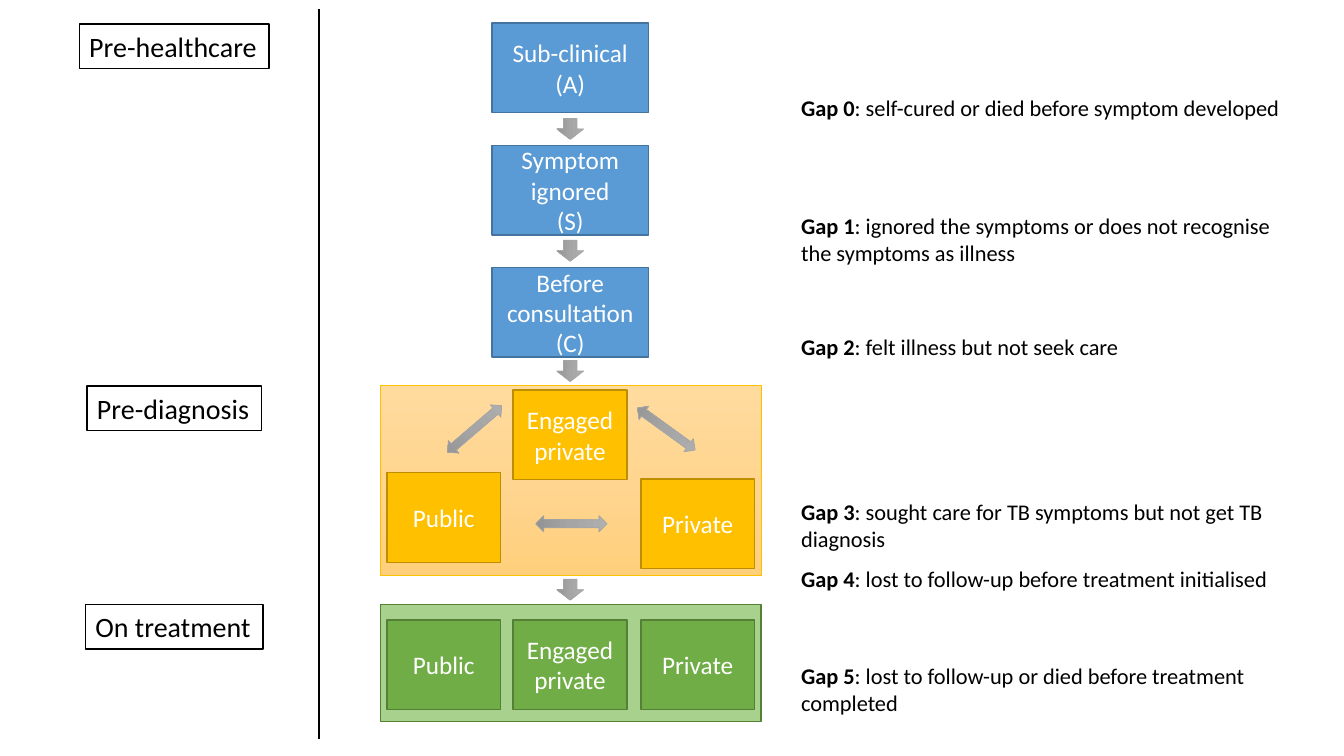
from copy import deepcopy

from lxml import etree
from pptx import Presentation
from pptx.dml.color import RGBColor
from pptx.enum.shapes import MSO_CONNECTOR, MSO_SHAPE
from pptx.enum.text import MSO_ANCHOR, PP_ALIGN
from pptx.oxml.ns import qn
from pptx.util import Cm, Pt

FONT = "Calibri"
BLUE, BLUE_EDGE = "5B9BD5", "43739E"
AMBER, AMBER_EDGE = "FFC000", "BD8E00"
GREEN, GREEN_EDGE = "70AD47", "538035"
GREY = "A5A5A5"
GREY_FADE = ("AFAFAF", GREY, "939393")
AMBER_FADE = ("FFDB9E", "FFD590", "FFD07C")

BOX_H = 2.26
STEP_X, STEP_W, STEP_TOP, STEP_PITCH = 12.4, 3.94, 0.58, 3.08
PANEL_X, PANEL_W = 9.58, 9.6
SECTOR_W = 2.87
SECTORS = (("Public", 9.75), ("Engaged private", 12.93), ("Private", 16.15))
LABEL_CENTRE = 4.39


def color(hex_string):
    return RGBColor.from_string(hex_string)


def paint_gradient(shape, colors):
    """Fill a shape with three evenly spaced colours, top to bottom."""
    shape.fill.gradient()
    stop_list = shape._element.spPr.find(".//" + qn("a:gsLst"))
    stop_list.insert(1, deepcopy(stop_list[0]))
    for i, (stop, hex_string) in enumerate(zip(shape.fill.gradient_stops, colors)):
        stop.position = i / 2
        stop.color.rgb = color(hex_string)
    shape.fill.gradient_angle = 270


def add_block(slide, kind, x, y, w, h, fill, edge, edge_width):
    """Add a preset shape; fill is one colour or a tuple of gradient colours."""
    shape = slide.shapes.add_shape(kind, Cm(x), Cm(y), Cm(w), Cm(h))
    shape.shadow.inherit = False
    if isinstance(fill, tuple):
        paint_gradient(shape, fill)
    else:
        shape.fill.solid()
        shape.fill.fore_color.rgb = color(fill)
    shape.line.color.rgb = color(edge)
    shape.line.width = Pt(edge_width)
    return shape


def add_run(paragraph, text, size, hex_string, bold=False):
    run = paragraph.add_run()
    run.text = text
    run.font.name = FONT
    run.font.size = Pt(size)
    run.font.bold = bold
    run.font.color.rgb = color(hex_string)


def add_box(slide, lines, x, y, w, fill, edge):
    """Add a filled box with centred white text, one paragraph per line."""
    box = add_block(slide, MSO_SHAPE.RECTANGLE, x, y, w, BOX_H, fill, edge, 1)
    frame = box.text_frame
    frame.word_wrap = True
    frame.vertical_anchor = MSO_ANCHOR.MIDDLE
    for i, line in enumerate(lines):
        paragraph = frame.add_paragraph() if i else frame.paragraphs[0]
        paragraph.alignment = PP_ALIGN.CENTER
        add_run(paragraph, line, 18, "FFFFFF")


def add_arrow(slide, kind, centre_x, centre_y, w, h, rotation):
    arrow = add_block(slide, kind, centre_x - w / 2, centre_y - h / 2, w, h,
                      GREY_FADE, GREY, 0.5)
    arrow.rotation = rotation


def add_label(slide, text, y, w):
    label = add_block(slide, MSO_SHAPE.RECTANGLE, LABEL_CENTRE - w / 2, y, w, 1.12,
                      "FFFFFF", "000000", 1)
    frame = label.text_frame
    frame.word_wrap = False
    frame.vertical_anchor = MSO_ANCHOR.TOP
    frame.paragraphs[0].alignment = PP_ALIGN.LEFT
    add_run(frame.paragraphs[0], text, 20, "000000")


def add_gap(slide, name, text, y, h):
    box = slide.shapes.add_textbox(Cm(19.94), Cm(y), Cm(12.7), Cm(h))
    box.text_frame.word_wrap = True
    paragraph = box.text_frame.paragraphs[0]
    add_run(paragraph, name, 16, "000000", bold=True)
    add_run(paragraph, ": " + text, 16, "000000")


def add_divider(slide, x, top, bottom):
    line = slide.shapes.add_connector(MSO_CONNECTOR.STRAIGHT,
                                      Cm(x), Cm(top), Cm(x), Cm(bottom))
    line.line.color.rgb = color("000000")
    line.line.width = Pt(1.5)
    etree.SubElement(line._element.spPr, qn("a:effectLst"))


def add_panel(slide, y, h, fill, edge, edge_width, box_fill, box_edge, box_tops):
    """Add a panel holding one box for each care sector."""
    add_block(slide, MSO_SHAPE.RECTANGLE, PANEL_X, y, PANEL_W, h,
              fill, edge, edge_width)
    for (name, x), top in zip(SECTORS, box_tops):
        add_box(slide, [name], x, top, SECTOR_W, box_fill, box_edge)


def main():
    prs = Presentation()
    prs.slide_width, prs.slide_height = Cm(33.87), Cm(19.05)
    slide = prs.slides.add_slide(prs.slide_layouts[6])

    # Stages of care
    add_divider(slide, 8.05, 0.23, 18.62)
    for text, y, w in (("Pre-healthcare", 0.61, 4.78),
                       ("Pre-diagnosis", 9.73, 4.39),
                       ("On treatment", 15.24, 4.47)):
        add_label(slide, text, y, w)

    # Steps before care
    steps = (["Sub-clinical (A)"], ["Symptom ignored", "(S)"],
             ["Before consultation", "(C)"])
    for i, lines in enumerate(steps):
        add_box(slide, lines, STEP_X, STEP_TOP + i * STEP_PITCH, STEP_W,
                BLUE, BLUE_EDGE)

    # Care sectors before diagnosis and on treatment
    add_panel(slide, 9.7, 4.8, AMBER_FADE, AMBER, 0.5,
              AMBER, AMBER_EDGE, (11.91, 9.83, 12.07))
    add_panel(slide, 15.24, 2.95, "A9D18E", "548235", 0.75,
              GREEN, GREEN_EDGE, (15.62,) * 3)

    # Flow downwards and movement between sectors
    for y in (3.25, 6.32, 9.35, 14.86):
        add_arrow(slide, MSO_SHAPE.RIGHT_ARROW, 14.37, y, 0.53, 0.68, 90)
    for x, y, rotation in ((16.79, 10.81, 125.9), (11.96, 10.81, 49.4),
                           (14.4, 13.2, 90)):
        add_arrow(slide, MSO_SHAPE.UP_DOWN_ARROW, x, y, 0.41, 1.8, rotation)

    # Gaps in the cascade
    one_line, two_lines = 0.94, 1.63
    gaps = (
        ("self-cured or died before symptom developed", 2.24, one_line),
        ("ignored the symptoms or does not recognise the symptoms as illness",
         5.23, two_lines),
        ("felt illness but not seek care", 8.26, one_line),
        ("sought care for TB symptoms but not get TB diagnosis", 12.42, two_lines),
        ("lost to follow-up before treatment initialised", 14.12, one_line),
        ("lost to follow-up or died before treatment completed", 16.56, two_lines),
    )
    for number, (text, y, h) in enumerate(gaps):
        add_gap(slide, f"Gap {number}", text, y, h)

    prs.save("out.pptx")


main()
